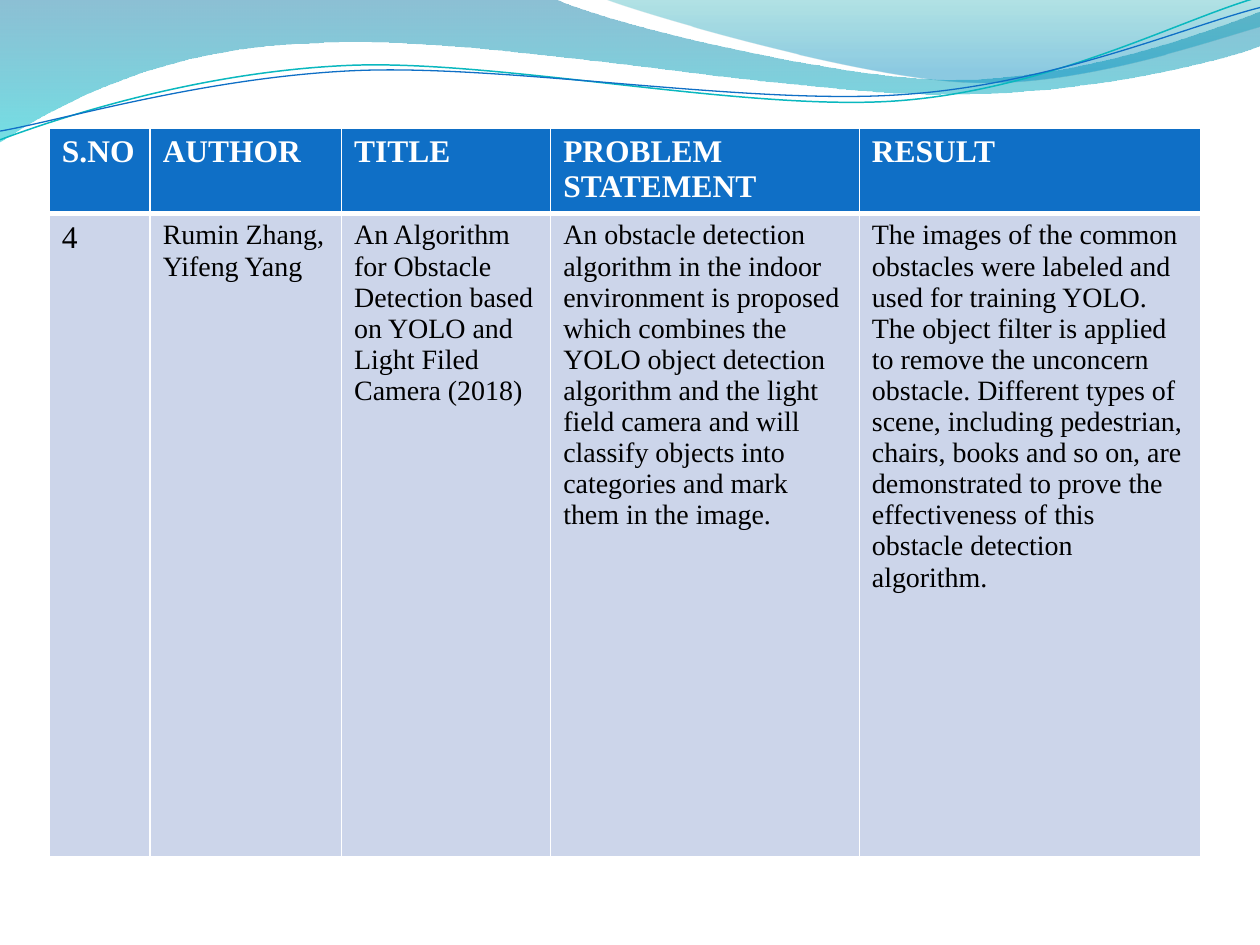
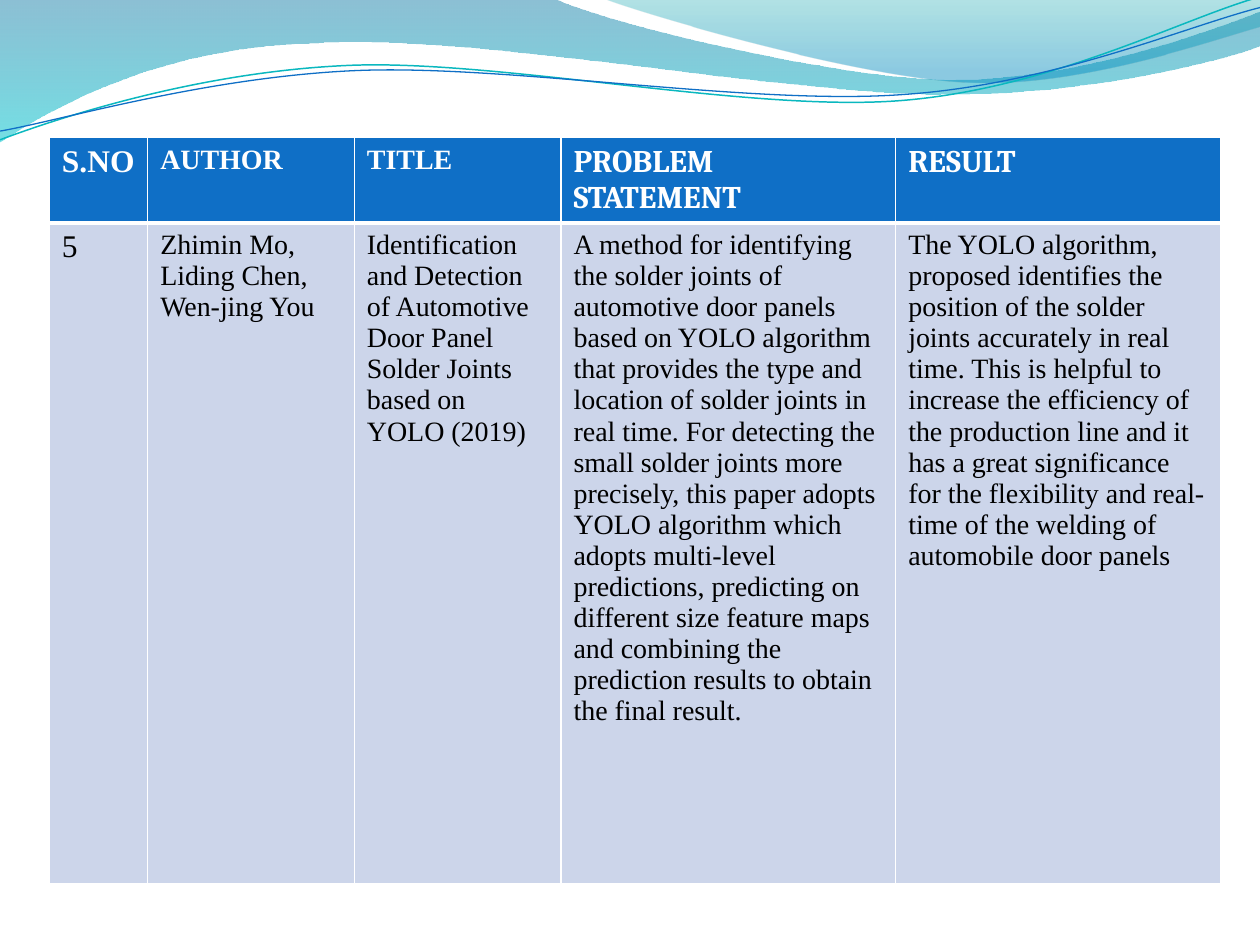
from lxml import etree
from pptx import Presentation
from pptx import util as u
from pptx.dml import color
from pptx.oxml import ns

COLOURS = {
    "blue": "0F6FC6", "teal": "0AB8BF", "cell": "CCD5EA",
    "white": "FFFFFF", "black": "000000",
    "deep": "0074A1", "aqua": "00C6CF", "sea": "00A1A9", "sky": "008BBF",
}
SERIF = "Times New Roman"
TABLE_LEFT = 28.2
HEADINGS = ["S.NO", "AUTHOR", "TITLE", "PROBLEM STATEMENT", "RESULT"]
BODY_SIZES = [18, 16, 16, 16, 16]

PAPERS = [
    {
        "top": 73.1,
        "columns": [57.6, 109.4, 119.5, 176.4, 195.1],
        "rows": [49, 367.6],
        "heading_sizes": [18] * 5,
        "heading_fonts": [SERIF] * 5,
        "cells": [
            "4",
            "Rumin Zhang, Yifeng Yang",
            "An Algorithm for Obstacle Detection based on YOLO and Light Filed Camera (2018)",
            "An obstacle detection algorithm in the indoor environment is proposed which combines "
            "the YOLO object detection algorithm and the light field camera and will classify "
            "objects into categories and mark them in the image.",
            "The images of the common obstacles were labeled and used for training YOLO. The object "
            "filter is applied to remove the unconcern obstacle. Different types of scene, including "
            "pedestrian, chairs, books and so on, are demonstrated to prove the effectiveness of "
            "this obstacle detection algorithm.",
        ],
    },
    {
        "top": 78.7,
        "columns": [56.2, 118.1, 118.1, 191.3, 185.8],
        "rows": [48, 377.5],
        "heading_sizes": [18, 16, 16, 18, 18],
        "heading_fonts": [SERIF, SERIF, SERIF, "Cambria", "Cambria"],
        "cells": [
            "5",
            "Zhimin Mo, Liding Chen, Wen-jing You",
            "Identification and Detection of Automotive Door Panel Solder Joints based on YOLO (2019)",
            "A method for identifying the solder joints of automotive door panels based on YOLO "
            "algorithm that provides the type and location of solder joints in real time. For "
            "detecting the small solder joints more precisely, this paper adopts YOLO algorithm "
            "which adopts multi-level predictions, predicting on different size feature maps and "
            "combining the prediction results to obtain the final result.",
            "The YOLO algorithm, proposed identifies the position of the solder joints accurately in "
            "real time. This is helpful to increase the efficiency of the production line and it has "
            "a great significance for the flexibility and real-time of the welding of automobile "
            "door panels",
        ],
    },
]

WAVES = [
    {
        "start": (0, 0),
        "steps": [
            [(316.8, -0.7)],
            [(342.7, 12.2), (478.1, 45.4), (545.8, 45.4)],
            [(614.2, 45.4), (689.8, 18.7), (720, 6.5)],
            [(720.7, 25.9)],
            [(707.8, 31.7), (626.4, 54.7), (537.1, 54)],
            [(447.8, 54), (275, 20.2), (185, 24.5)],
            [(92.9, 25.9), (33.1, 59.8), (-0.7, 81.4)],
            [(0, 0)],
        ],
        "gradient": [(0, "deep", 45), (100, "aqua", 55)],
    },
    {
        "start": (344.9, -0.7),
        "steps": [
            [(366.5, 7.9), (491, 44.6), (553.7, 46.8)],
            [(616.3, 49.7), (691.9, 23), (720, 15.1)],
            [(720, 0)],
            [(344.9, -0.7)],
        ],
        "gradient": [(0, "sea", 30), (80, "sky", 45)],
    },
    {
        "start": (0, 79.9),
        "steps": [
            [(34.6, 67), (113.8, 41), (199.4, 37.4)],
            [(284.4, 33.8), (427, 64.1), (513.4, 57.6)],
            [(599.8, 51.1), (675.4, 10.8), (718.6, -1.4)],
        ],
        "line": ("teal", 0.85),
    },
    {
        "start": (0, 74.9),
        "steps": [
            [(33.8, 69.1), (118.1, 43.9), (203.8, 40.3)],
            [(290.2, 36.7), (429.8, 60.5), (516.2, 54)],
            [(601.9, 48.2), (677.5, 15.1), (720, 4.3)],
        ],
        "line": ("blue", 0.75),
    },
]


def rgb(name):
    return color.RGBColor.from_string(COLOURS[name])


def add_child(parent, tag, **attributes):
    child = etree.SubElement(parent, ns.qn(tag))
    for key, value in attributes.items():
        child.set(key, str(value))
    return child


def bend(shape, steps):
    segments = iter(list(shape.element.iter(ns.qn("a:lnTo"))))
    for step in steps:
        group = [next(segments) for point in step]
        if len(group) == 3:
            curve = etree.Element(ns.qn("a:cubicBezTo"))
            group[0].addprevious(curve)
            for segment in group:
                curve.append(segment[0])
                segment.getparent().remove(segment)


def set_gradient(shape, stops):
    shape.fill.gradient()
    gradient = shape.element.spPr.find(ns.qn("a:gradFill"))
    for child in list(gradient):
        gradient.remove(child)
    stop_list = add_child(gradient, "a:gsLst")
    for position, name, opacity in stops:
        stop = add_child(stop_list, "a:gs", pos=position * 1000)
        tint = add_child(stop, "a:srgbClr", val=COLOURS[name])
        add_child(tint, "a:alpha", val=opacity * 1000)
    add_child(gradient, "a:lin", ang=90 * 60000, scaled=0)


def add_waves(slide):
    for wave in WAVES:
        points = [wave["start"], *sum(wave["steps"], [])]
        points = [(u.Pt(x), u.Pt(y)) for x, y in points]
        builder = slide.shapes.build_freeform(*points[0])
        builder.add_line_segments(points[1:], close="gradient" in wave)
        shape = builder.convert_to_shape()
        bend(shape, wave["steps"])
        shape.shadow.inherit = False
        if "gradient" in wave:
            set_gradient(shape, wave["gradient"])
            shape.line.fill.background()
        else:
            name, width = wave["line"]
            shape.fill.background()
            shape.line.color.rgb = rgb(name)
            shape.line.width = u.Pt(width)


def set_borders(cell, bottom):
    properties = cell._tc.get_or_add_tcPr()
    for side, width in zip("LRTB", (1, 1, 1, bottom)):
        border = add_child(properties, f"a:ln{side}", w=u.Pt(width))
        fill = add_child(border, "a:solidFill")
        add_child(fill, "a:srgbClr", val=COLOURS["white"])


def fill_cell(cell, text, size, font_name, is_heading):
    set_borders(cell, 3 if is_heading else 1)
    cell.fill.solid()
    cell.fill.fore_color.rgb = rgb("blue" if is_heading else "cell")
    cell.text_frame.text = text
    font = cell.text_frame.paragraphs[0].runs[0].font
    font.name = font_name
    font.size = u.Pt(size)
    font.bold = is_heading
    font.color.rgb = rgb("white" if is_heading else "black")


def add_paper_table(slide, paper):
    frame = slide.shapes.add_table(
        2, len(HEADINGS), u.Pt(TABLE_LEFT), u.Pt(paper["top"]),
        u.Pt(sum(paper["columns"])), u.Pt(sum(paper["rows"])),
    )
    table = frame.table
    table.horz_banding = False
    for column, width in zip(table.columns, paper["columns"]):
        column.width = u.Pt(width)
    for row, height in zip(table.rows, paper["rows"]):
        row.height = u.Pt(height)
    for index, heading in enumerate(HEADINGS):
        fill_cell(table.cell(0, index), heading, paper["heading_sizes"][index],
                  paper["heading_fonts"][index], True)
        fill_cell(table.cell(1, index), paper["cells"][index], BODY_SIZES[index], SERIF, False)


def main():
    presentation = Presentation()
    presentation.slide_width = u.Pt(720)
    presentation.slide_height = u.Pt(540)
    for paper in PAPERS:
        slide = presentation.slides.add_slide(presentation.slide_layouts[6])
        add_waves(slide)
        add_paper_table(slide, paper)
    presentation.save("out.pptx")


if __name__ == "__main__":
    main()
